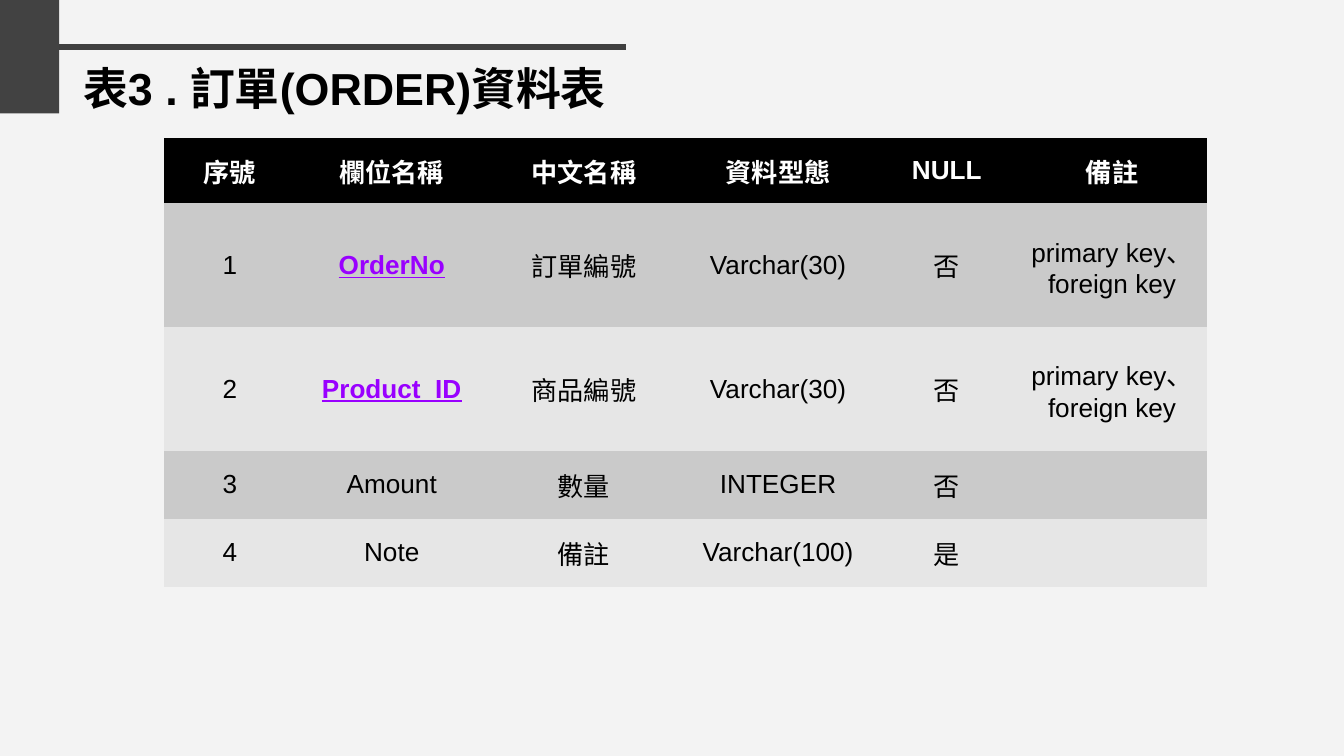
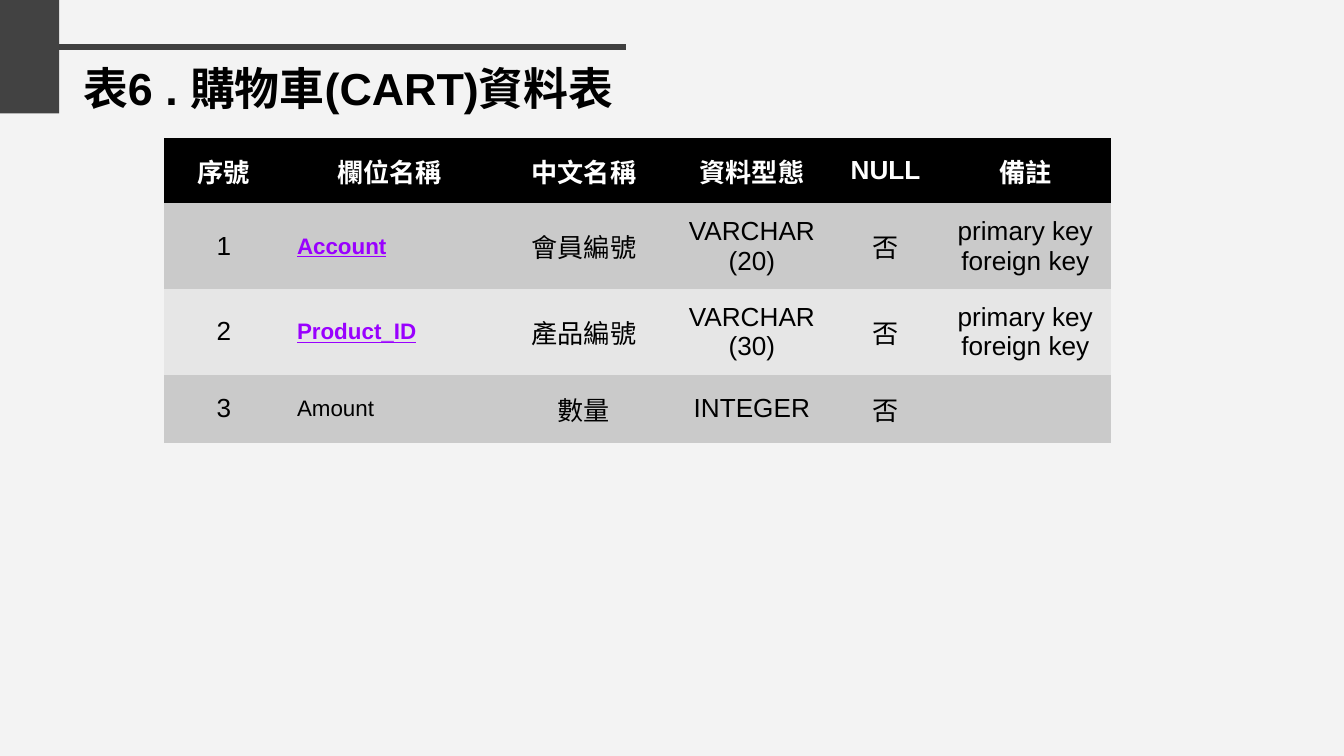
"""Builds two slides that describe database tables, each with a title band and a field table."""
from lxml import etree
from pptx import Presentation
from pptx.dml.color import RGBColor
from pptx.enum.shapes import MSO_CONNECTOR, MSO_SHAPE
from pptx.enum.text import MSO_ANCHOR, PP_ALIGN
from pptx.oxml.ns import qn
from pptx.util import Inches, Pt

CENTER, LEFT = PP_ALIGN.CENTER, PP_ALIGN.LEFT
MIDDLE, TOP = MSO_ANCHOR.MIDDLE, MSO_ANCHOR.TOP
RECTANGLE, STRAIGHT = MSO_SHAPE.RECTANGLE, MSO_CONNECTOR.STRAIGHT
PLAIN_TABLE_STYLE = "{2D5ABB26-0587-4C30-8999-92F81FD0307C}"

COLORS = {
    "background": "F3F3F3",
    "block": "424242",
    "rule": "3F3F3F",
    "header": "000000",
    "odd_row": "CACACA",
    "even_row": "E6E6E6",
    "text": "000000",
    "header_text": "FFFFFF",
    "key": "9900FF",
}
PALETTE = {name: RGBColor.from_string(value) for name, value in COLORS.items()}
FORMATS = {
    "title": {"size": Pt(24), "bold": True, "underline": False},
    "header_text": {"size": Pt(14), "bold": True, "underline": False},
    "text": {"size": Pt(14), "bold": False, "underline": False},
    "key": {"size": Pt(14), "bold": True, "underline": True},
}
MARGINS = ("margin_left", "margin_right", "margin_top", "margin_bottom")
HEADINGS = ("序號", "欄位名稱", "中文名稱", "資料型態", "NULL", "備註")
NAME_COLUMN = 1

presentation = Presentation()
presentation.slide_width, presentation.slide_height = Inches(10), Inches(5.625)
WIDTH_PERCENT = presentation.slide_width / 100
HEIGHT_PERCENT = presentation.slide_height / 100

TABLES = [
    {
        "title": "表3 . 訂單(ORDER)資料表",
        "widths": (9.8, 14.3, 14.3, 14.6, 10.5, 14.1),
        "heights": (7.8, 7.7, 16, 7.8, 7.8),
        "name_format": {"size": Pt(14)},
        "name_alignment": CENTER,
        "fields": [
            ("OrderNo", "訂單編號", "Varchar(30)", "否", "primary key、foreign key"),
            ("Product_ID", "商品編號", "Varchar(30)", "否", "primary key、foreign key"),
            ("Amount", "數量", "INTEGER", "否", ""),
            ("Note", "備註", "Varchar(100)", "是", ""),
        ],
    },
    {
        "title": "表6 . 購物車(CART)資料表",
        "widths": (8.9, 15.8, 13.1, 11.9, 8, 12.8),
        "heights": (7.8, 7.7, 7.8, 7.8),
        "name_format": {"size": Pt(12)},
        "name_alignment": LEFT,
        "fields": [
            ("Account", "會員編號", "VARCHAR(20)", "否", "primary key\nforeign key"),
            ("Product_ID", "產品編號", "VARCHAR(30)", "否", "primary key\nforeign key"),
            ("Amount", "數量", "INTEGER", "否", ""),
        ],
    },
]


def place(left, top, width, height):
    """Turn shares of the slide, in percent, into lengths."""
    return (
        int(left * WIDTH_PERCENT),
        int(top * HEIGHT_PERCENT),
        int(width * WIDTH_PERCENT),
        int(height * HEIGHT_PERCENT),
    )


def write(text_frame, text, color, text_format, alignment):
    """Fill a text frame with evenly formatted paragraphs."""
    text_frame.text = text
    for paragraph in text_frame.paragraphs:
        paragraph.alignment = alignment
        for run in paragraph.runs:
            run.font.name = "Arial"
            run.font.color.rgb = PALETTE[color]
            for attribute, value in text_format.items():
                setattr(run.font, attribute, value)


for content in TABLES:
    slide = presentation.slides.add_slide(presentation.slide_layouts[6])
    slide.background.fill.solid()
    slide.background.fill.fore_color.rgb = PALETTE["background"]

    widths, heights = content["widths"], content["heights"]
    frame = slide.shapes.add_table(
        len(heights), len(widths), *place(12.2, 18.3, sum(widths), sum(heights))
    )
    frame.element.xpath(".//a:tableStyleId")[0].text = PLAIN_TABLE_STYLE
    table = frame.table
    table.horz_banding = False
    for column, width in zip(table.columns, widths):
        column.width = int(width * WIDTH_PERCENT)
    for row, height in zip(table.rows, heights):
        row.height = int(height * HEIGHT_PERCENT)

    records = [HEADINGS]
    records += [(str(number), *field) for number, field in enumerate(content["fields"], 1)]
    for row_index, record in enumerate(records):
        is_header = row_index == 0
        band = "header" if is_header else "odd_row" if row_index % 2 else "even_row"
        is_key = record[-1].startswith("primary key")
        for column_index, text in enumerate(record):
            cell = table.cell(row_index, column_index)
            cell.fill.solid()
            cell.fill.fore_color.rgb = PALETTE[band]
            cell.vertical_anchor = MIDDLE
            for margin in MARGINS:
                setattr(cell, margin, Inches(0.1))
            is_name = column_index == NAME_COLUMN and not is_header
            style = "header_text" if is_header else "key" if is_name and is_key else "text"
            text_format = FORMATS[style] | (content["name_format"] if is_name else {})
            alignment = content["name_alignment"] if is_name else CENTER
            write(cell.text_frame, text, style, text_format, alignment)

    title = slide.shapes.add_textbox(*place(5.2, 6.25, 93.2, 11.2)).text_frame
    title.word_wrap = True
    title.vertical_anchor = TOP
    for margin in MARGINS:
        setattr(title, margin, Inches(0.1))
    write(title, content["title"], "text", FORMATS["title"], LEFT)

    block = slide.shapes.add_shape(RECTANGLE, *place(0, 0, 4.4, 15))
    block.shadow.inherit = False
    block.fill.solid()
    block.fill.fore_color.rgb = PALETTE["block"]
    block.line.fill.background()

    rule = slide.shapes.add_connector(STRAIGHT, *place(4.4, 6.25, 46.6, 6.25))
    rule.line.color.rgb = PALETTE["rule"]
    rule.line.width = Pt(3)
    etree.SubElement(rule.element.spPr, qn("a:effectLst"))

presentation.save("out.pptx")
